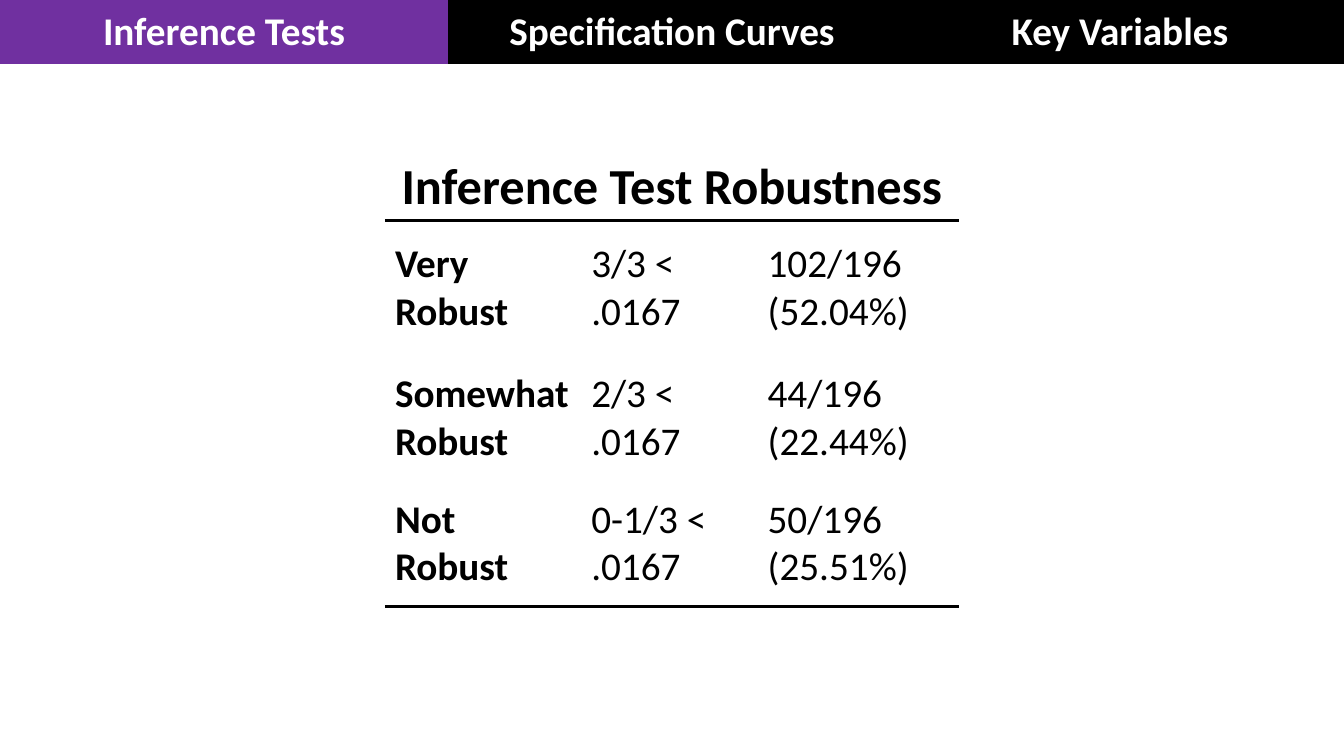
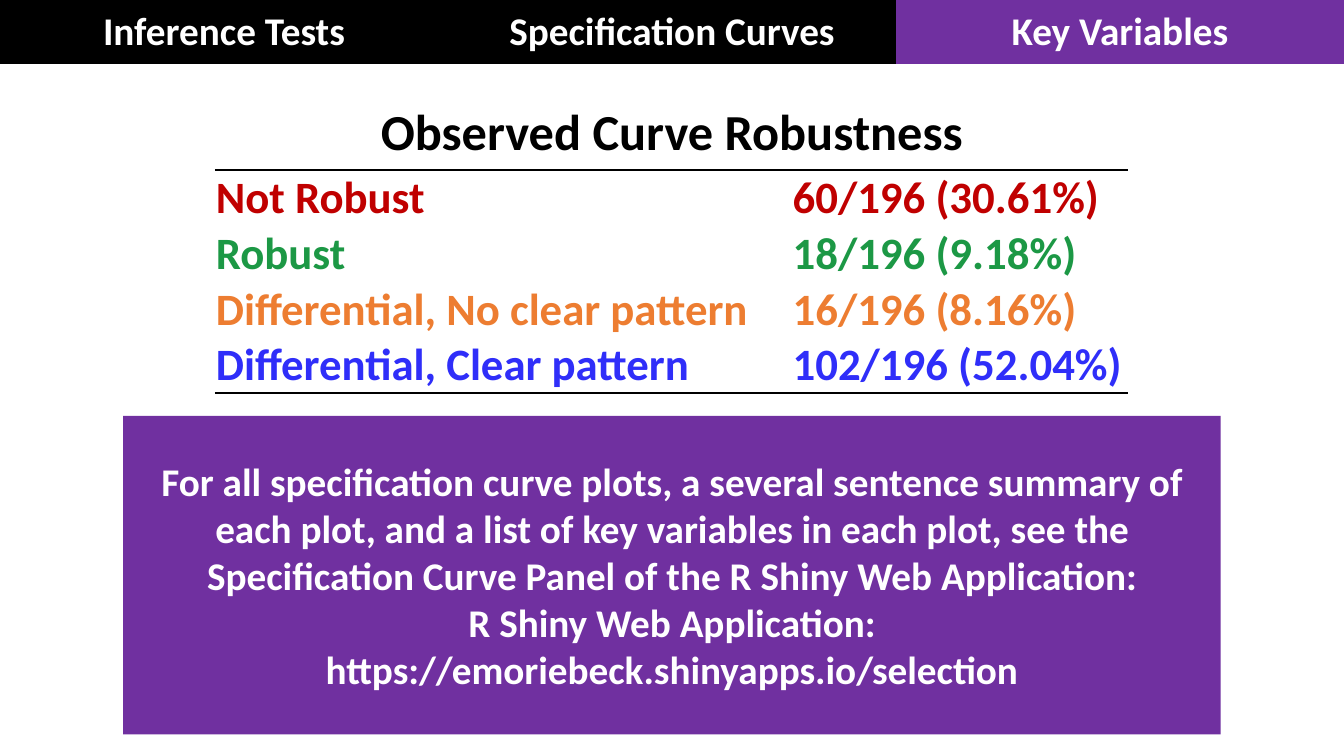
from lxml.etree import SubElement
from pptx import Presentation
from pptx.dml.color import RGBColor
from pptx.enum.shapes import MSO_SHAPE
from pptx.enum.text import MSO_ANCHOR, PP_ALIGN
from pptx.oxml import parse_xml
from pptx.oxml.ns import nsdecls, qn
from pptx.util import Pt

BLACK = RGBColor(0x00, 0x00, 0x00)
WHITE = RGBColor(0xFF, 0xFF, 0xFF)
PURPLE = RGBColor(0x70, 0x30, 0xA0)
RED = RGBColor(0xC0, 0x00, 0x00)
GREEN = RGBColor(0x1C, 0x98, 0x45)
ORANGE = RGBColor(0xED, 0x7D, 0x31)
BLUE = RGBColor(0x2F, 0x2E, 0xF9)

FONT = "Calibri"
PAGE_WIDTH, PAGE_HEIGHT = 960, 540
TAB_HEIGHT = 46
RULE_WIDTH = 2.25
NO_STYLE = "{2D5ABB26-0587-4C30-8999-92F81FD0307C}"
SECTIONS = ["Inference Tests", "Specification Curves", "Key Variables"]

INFERENCE_ROWS = [
    ("Very Robust", "3/3 < .0167", "102/196 (52.04%)"),
    ("Somewhat Robust", "2/3 < .0167", "44/196 (22.44%)"),
    ("Not Robust", "0-1/3 < .0167", "50/196 (25.51%)"),
]
CURVE_ROWS = [
    ("Not Robust", "60/196 (30.61%)", RED),
    ("Robust", "18/196 (9.18%)", GREEN),
    ("Differential, No clear pattern", "16/196 (8.16%)", ORANGE),
    ("Differential, Clear pattern", "102/196 (52.04%)", BLUE),
]
APP_NOTE = [
    "For all specification curve plots, a several sentence summary of each plot, "
    "and a list of key variables in each plot, see the Specification Curve Panel "
    "of the R Shiny Web Application:",
    "R Shiny Web Application: https://emoriebeck.shinyapps.io/selection",
]


def write_text(frame, *lines, size=28, color=BLACK, bold=True, align=PP_ALIGN.LEFT):
    """Write each line as one paragraph of the frame."""
    for index, line in enumerate(lines):
        para = frame.add_paragraph() if index else frame.paragraphs[0]
        para.alignment = align
        span = para.add_run()
        span.text = line
        span.font.name = FONT
        span.font.size = Pt(size)
        span.font.bold = bold
        span.font.color.rgb = color


def add_plain_table(page, left, top, widths, heights):
    """Add a table with no style, no fill and no grid."""
    frame = page.shapes.add_table(len(heights), len(widths), Pt(left), Pt(top),
                                  Pt(sum(widths)), Pt(sum(heights)))
    table = frame.table
    table.first_row = table.horz_banding = False
    frame._element.find(".//" + qn("a:tableStyleId")).text = NO_STYLE
    for column, width in zip(table.columns, widths):
        column.width = Pt(width)
    for row, height in zip(table.rows, heights):
        row.height = Pt(height)
    for cell in table.iter_cells():
        cell.fill.background()
        cell.vertical_anchor = MSO_ANCHOR.MIDDLE
    return table


def rule_cell(cell, side):
    """Draw a black rule on one side of a cell: "lnT" or "lnB"."""
    line = parse_xml(f'<a:{side} {nsdecls("a")} w="{Pt(RULE_WIDTH)}"/>')
    fill = SubElement(line, qn("a:solidFill"))
    SubElement(fill, qn("a:srgbClr"), val=str(BLACK))
    cell._tc.get_or_add_tcPr().insert(0, line)


def rule_top_and_bottom(table):
    last = len(table.rows) - 1
    for column in range(len(table.columns)):
        rule_cell(table.cell(0, column), "lnT")
        rule_cell(table.cell(last, column), "lnB")


def add_section_tabs(page, active):
    width = PAGE_WIDTH / len(SECTIONS)
    table = add_plain_table(page, 0, 0, [width] * len(SECTIONS), [TAB_HEIGHT])
    for cell, section in zip(table.iter_cells(), SECTIONS):
        cell.fill.solid()
        cell.fill.fore_color.rgb = PURPLE if section == active else BLACK
        write_text(cell.text_frame, section, color=WHITE, align=PP_ALIGN.CENTER)


def add_title(page, text, left, top, width, height):
    box = page.shapes.add_textbox(Pt(left), Pt(top), Pt(width), Pt(height))
    box.text_frame.word_wrap = True
    box.text_frame.vertical_anchor = MSO_ANCHOR.MIDDLE
    write_text(box.text_frame, text, size=36, align=PP_ALIGN.CENTER)


def add_panel(page, lines, left, top, width, height):
    panel = page.shapes.add_shape(MSO_SHAPE.RECTANGLE, Pt(left), Pt(top),
                                  Pt(width), Pt(height))
    panel.shadow.inherit = False
    panel.fill.solid()
    panel.fill.fore_color.rgb = PURPLE
    panel.line.fill.background()
    panel.text_frame.word_wrap = True
    panel.text_frame.vertical_anchor = MSO_ANCHOR.MIDDLE
    write_text(panel.text_frame, *lines, color=WHITE, align=PP_ALIGN.CENTER)


def add_inference_table(page):
    table = add_plain_table(page, 275, 157.5, [140.2, 126, 143.8], [96.6, 89.5, 89.5])
    for row, texts in enumerate(INFERENCE_ROWS):
        for column, text in enumerate(texts):
            write_text(table.cell(row, column).text_frame, text, bold=column == 0)
    rule_top_and_bottom(table)


def add_curve_table(page):
    table = add_plain_table(page, 153.5, 121.5, [412, 240.5], [39.8] * len(CURVE_ROWS))
    for row, (*texts, color) in enumerate(CURVE_ROWS):
        for column, text in enumerate(texts):
            cell = table.cell(row, column)
            cell.vertical_anchor = MSO_ANCHOR.BOTTOM
            cell.margin_left = cell.margin_right = cell.margin_top = Pt(0.7)
            cell.margin_bottom = Pt(0)
            write_text(cell.text_frame, text, size=32, color=color)
    rule_top_and_bottom(table)


def add_page(deck, section):
    page = deck.slides.add_slide(deck.slide_layouts[6])
    add_section_tabs(page, section)
    return page


def main():
    deck = Presentation()
    deck.slide_width, deck.slide_height = Pt(PAGE_WIDTH), Pt(PAGE_HEIGHT)

    page = add_page(deck, "Inference Tests")
    add_inference_table(page)
    add_title(page, "Inference Test Robustness", 277, 106, 406, 51)

    page = add_page(deck, "Key Variables")
    add_curve_table(page)
    add_title(page, "Observed Curve Robustness", 100, 64, 760, 58)
    add_panel(page, APP_NOTE, 88, 297, 784, 227.5)

    deck.save("out.pptx")


if __name__ == "__main__":
    main()
